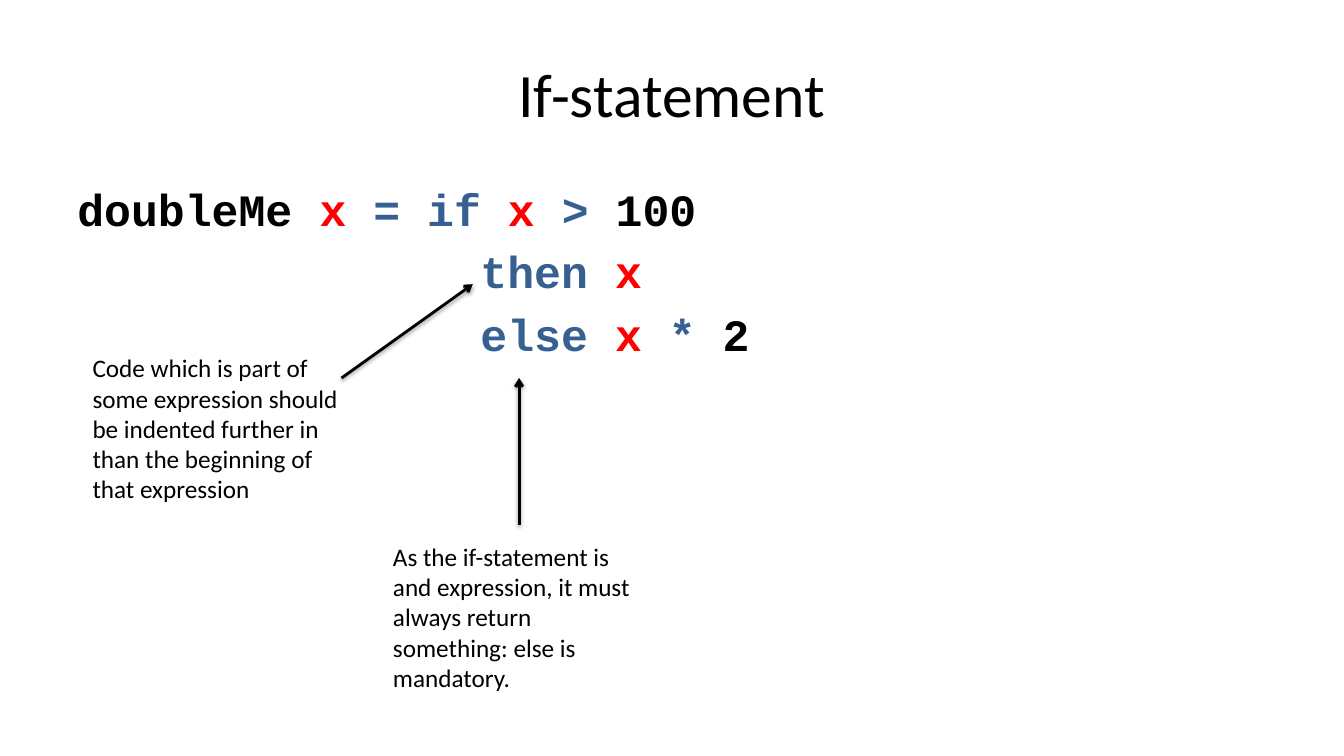
from lxml import etree
from pptx import Presentation
from pptx.dml.color import RGBColor
from pptx.enum import shapes, text
from pptx.oxml import ns, parse_xml
from pptx.util import Pt

BLACK = RGBColor(0x00, 0x00, 0x00)
RED = RGBColor(0xFF, 0x00, 0x00)
BLUE = RGBColor(0x37, 0x60, 0x92)

CODE_SIZE = 32
CHAR_WIDTH = 0.6 * CODE_SIZE  # advance of one Courier New character

# Each line: indent in characters, then its coloured tokens.
CODE = [
    (0, [("doubleMe ", BLACK), ("x ", RED), ("= if ", BLUE),
         ("x", RED), (" > ", BLUE), ("100", BLACK)]),
    (15, [("then ", BLUE), ("x", RED)]),
    (15, [("else ", BLUE), ("x ", RED), ("* ", BLUE), ("2", BLACK)]),
]

SHADOW = (
    f'<a:effectLst {ns.nsdecls("a")}>'
    '<a:outerShdw blurRad="39370" dist="20320" dir="5400000" rotWithShape="0">'
    '<a:srgbClr val="000000"><a:alpha val="38000"/></a:srgbClr>'
    '</a:outerShdw></a:effectLst>'
)


class CodeSlide:
    body_font = "Calibri"
    code_font = "Courier New"

    def __init__(self, presentation):
        self.slide = presentation.slides.add_slide(presentation.slide_layouts[1])

    def place(self, shape, left, top, width, height):
        shape.left, shape.top = Pt(left), Pt(top)
        shape.width, shape.height = Pt(width), Pt(height)

    def style(self, run, font, size, color=BLACK, bold=False):
        run.font.name, run.font.size, run.font.bold = font, Pt(size), bold
        run.font.color.rgb = color

    def title(self, wording, *box):
        heading = self.slide.shapes.title
        self.place(heading, *box)
        frame = heading.text_frame
        frame.text = wording
        frame.vertical_anchor = text.MSO_ANCHOR.MIDDLE
        frame.paragraphs[0].alignment = text.PP_ALIGN.CENTER
        self.style(frame.paragraphs[0].runs[0], self.body_font, 44)

    def code(self, lines, *box):
        listing = self.slide.placeholders[1]
        self.place(listing, *box)
        frame = listing.text_frame
        frame.auto_size = text.MSO_AUTO_SIZE.NONE
        for number, (indent, tokens) in enumerate(lines):
            line = frame.add_paragraph() if number else frame.paragraphs[0]
            properties = line._p.get_or_add_pPr()
            properties.set("marL", str(Pt(indent * CHAR_WIDTH)))
            properties.set("indent", "0")
            etree.SubElement(properties, ns.qn("a:buNone"))
            for token, color in tokens:
                run = line.add_run()
                run.text = token
                self.style(run, self.code_font, CODE_SIZE, color, bold=True)

    def note(self, wording, left, top):
        box = self.slide.shapes.add_textbox(Pt(left), Pt(top), Pt(193.7), Pt(116.6))
        frame = box.text_frame
        frame.word_wrap = True
        frame.auto_size = text.MSO_AUTO_SIZE.SHAPE_TO_FIT_TEXT
        frame.text = wording
        self.style(frame.paragraphs[0].runs[0], self.body_font, 18)

    def arrow(self, *ends):
        pointer = self.slide.shapes.add_connector(
            shapes.MSO_CONNECTOR.STRAIGHT, *map(Pt, ends))
        pointer.line.color.rgb = BLACK
        pointer.line.width = Pt(2)
        outline = pointer.line._get_or_add_ln()
        etree.SubElement(outline, ns.qn("a:tailEnd"), type="arrow")
        pointer._element.spPr.append(parse_xml(SHADOW))


def main():
    presentation = Presentation()
    presentation.slide_width, presentation.slide_height = Pt(960), Pt(540)

    page = CodeSlide(presentation)
    page.title("If-statement", 48, 21.6, 864, 90)
    page.code(CODE, 48, 126, 864, 356.4)
    page.arrow(244, 270, 337.7, 203)
    page.note("Code which is part of some expression should be indented "
              "further in than the beginning of that expression", 59, 248.4)
    page.arrow(370.8, 375, 370.8, 270)
    page.note("As the if-statement is and expression, it must always return "
              "something: else is mandatory.", 273.6, 383)

    presentation.save("out.pptx")


if __name__ == "__main__":
    main()
